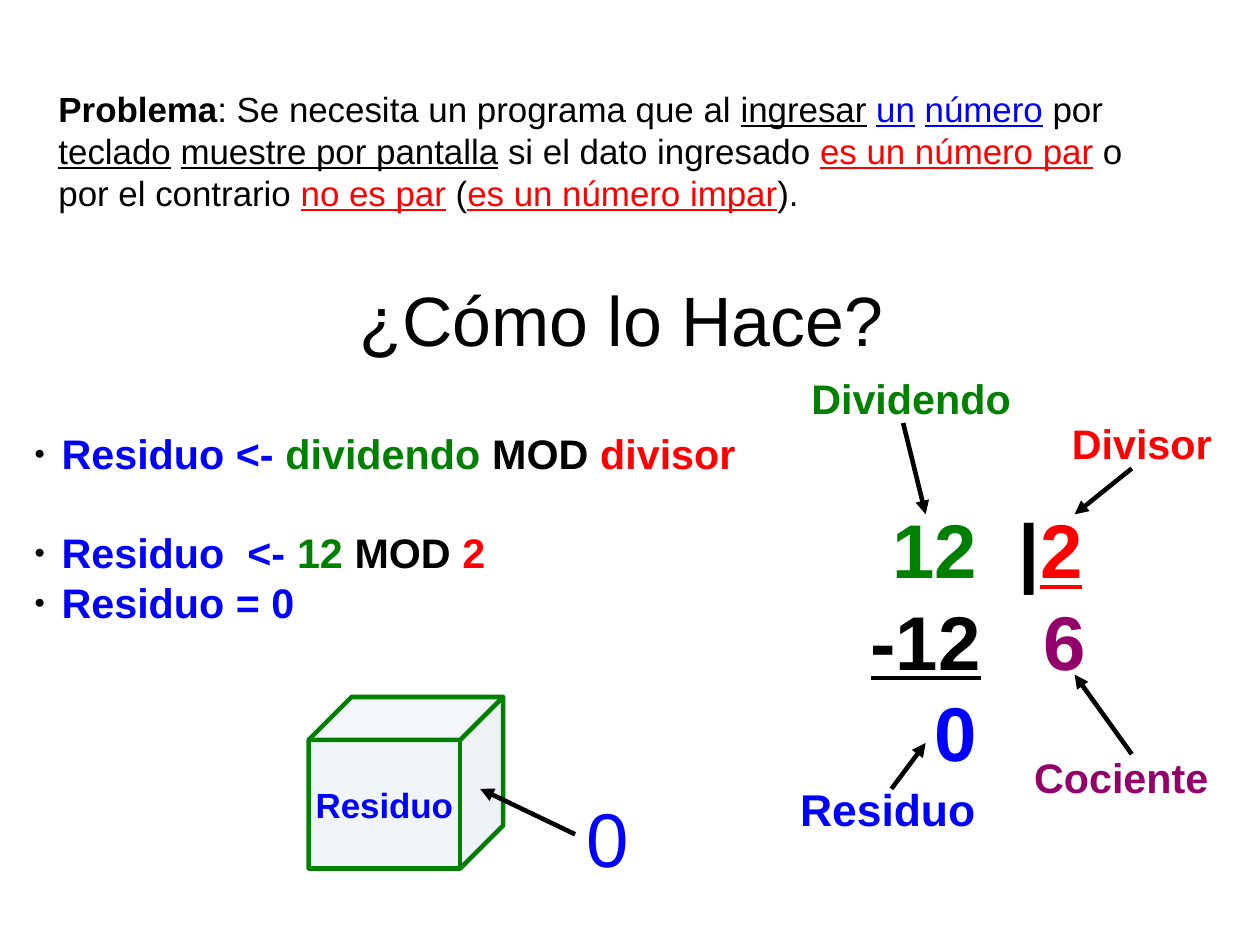
from lxml import etree
from pptx import Presentation
from pptx.dml.color import RGBColor
from pptx.enum.shapes import MSO_CONNECTOR as CONN, MSO_SHAPE as SHAPE
from pptx.enum.text import MSO_ANCHOR as ANCHOR, MSO_AUTO_SIZE as AUTO, PP_ALIGN as ALIGN
from pptx.oxml.ns import qn
from pptx.util import Cm, Pt

FONT = "Arial"
LINE_WIDTH = Pt(2.89)
COLORS = {
    "black": "000000",
    "blue": "0000FF",
    "red": "FF0000",
    "green": "008000",
    "purple": "94006B",
    "cube": "729FCF",
}


def rgb(name):
    return RGBColor.from_string(COLORS[name])


def sub(parent, tag, **attrs):
    el = etree.SubElement(parent, qn(tag))
    for key, value in attrs.items():
        el.set(key, str(value))
    return el


def write(p, text, size=26, color="black", bold=False, underline=False):
    r = p.add_run()
    r.text = text
    f = r.font
    f.name, f.size, f.bold, f.underline = FONT, Pt(size), bold, underline
    f.color.rgb = rgb(color)


def write_runs(p, runs, **fmt):
    """Write (text, color, underline) runs; color and underline may be left out."""
    for text, *rest in runs:
        color, underline = (rest + ["black", False][len(rest):])
        write(p, text, color=color, underline=underline, **fmt)


def setup(tf, anchor=ANCHOR.MIDDLE, wrap=True):
    tf.word_wrap = wrap
    tf.auto_size = AUTO.NONE
    tf.vertical_anchor = anchor
    return tf


def text_box(s, x, y, w, h, **fmt):
    return setup(s.shapes.add_textbox(Cm(x), Cm(y), Cm(w), Cm(h)).text_frame, **fmt)


def label(s, box, text, **fmt):
    write(text_box(s, *box).paragraphs[0], text, **fmt)


def placeholder(sp, x, y, w, h, align):
    """Move a placeholder and return its paragraph, ready to be written."""
    sp.left, sp.top, sp.width, sp.height = Cm(x), Cm(y), Cm(w), Cm(h)
    tf = setup(sp.text_frame)
    tf.margin_left = tf.margin_right = tf.margin_top = tf.margin_bottom = 0
    p = tf.paragraphs[0]
    p.alignment = align
    p.line_spacing = 1.0
    p.space_before = Pt(0)
    return p


def arrow(s, x1, y1, x2, y2):
    c = s.shapes.add_connector(CONN.STRAIGHT, Cm(x1), Cm(y1), Cm(x2), Cm(y2))
    c.line.color.rgb = rgb("black")
    c.line.width = LINE_WIDTH
    sub(c.line._get_or_add_ln(), "a:tailEnd", type="triangle")
    sub(c._element.spPr, "a:effectLst")


def bullet(p):
    pPr = p._p.get_or_add_pPr()
    pPr.set("marL", str(Cm(0.61)))
    pPr.set("indent", str(-Cm(0.61)))
    sub(sub(pPr, "a:buClr"), "a:srgbClr", val=COLORS["black"])
    sub(pPr, "a:buSzPct", val=45000)
    sub(pPr, "a:buFont", typeface=FONT)
    sub(pPr, "a:buChar", char="●")


def tab_stops(p, stops):
    tabs = sub(p._p.get_or_add_pPr(), "a:tabLst")
    for pos, side in stops:
        sub(tabs, "a:tab", pos=Cm(pos), algn=side)


def steps(s):
    tf = text_box(s, 0.51, 9.4, 16.26, 5.84, anchor=ANCHOR.TOP)
    lines = [
        (0, [("Residuo <-", "blue"), (" dividendo", "green"), (" MOD ",), ("divisor", "red")]),
        (31.2, [("Residuo  <-", "blue"), (" 12 ", "green"), ("MOD ",), ("2", "red")]),
        (0, [("Residuo = 0", "blue")]),
    ]
    for i, (gap, runs) in enumerate(lines):
        p = tf.add_paragraph() if i else tf.paragraphs[0]
        p.space_before = Pt(gap)
        bullet(p)
        write_runs(p, runs, size=26, bold=True)


def division(s):
    """Long division, its columns set by tab stops."""
    tf = text_box(s, 19.1, 10.01, 7.09, 8.41)
    units = (2.36, "r")
    rows = [
        ([units, (3.29, "l"), (6.11, "l")],
         [("\t",), ("12", "green"), ("\t|",), ("2", "red", True), ("\t", "black", True)]),
        ([(3.84, "l")], [("-12", "black", True), ("\t",), ("6", "purple")]),
        ([units], [("\t",), ("0", "blue")]),
    ]
    for i, (stops, runs) in enumerate(rows):
        p = tf.add_paragraph() if i else tf.paragraphs[0]
        tab_stops(p, stops)
        write_runs(p, runs, size=48, bold=True)


def variable_cube(s):
    sp = s.shapes.add_shape(SHAPE.CUBE, Cm(6.86), Cm(15.49), Cm(4.32), Cm(3.81))
    sp.shadow.inherit = False
    sp.fill.solid()
    sp.fill.fore_color.rgb = rgb("cube")
    sub(sp._element.spPr.find(qn("a:solidFill"))[0], "a:alpha", val=10000)
    sp.line.color.rgb = rgb("green")
    sp.line.width = LINE_WIDTH
    p = setup(sp.text_frame, wrap=False).paragraphs[0]
    p.alignment = ALIGN.CENTER
    write(p, "Residuo", size=22, color="blue", bold=True)


def main():
    prs = Presentation()
    prs.slide_width, prs.slide_height = Cm(28), Cm(21)
    s = prs.slides.add_slide(prs.slide_layouts[0])

    title = placeholder(s.shapes.title, 1.22, 5.33, 25.2, 3.51, ALIGN.CENTER)
    write(title, "¿Cómo lo Hace?", size=44)

    problem = placeholder(s.placeholders[1], 1.3, 1.78, 24.26, 3.12, ALIGN.LEFT)
    write(problem, "Problema", size=22, bold=True)
    write_runs(problem, [
        (": Se necesita un programa que al ",), ("ingresar", "black", True), (" ",),
        ("un", "blue", True), (" ",), ("número", "blue", True), (" por ",),
        ("teclado", "black", True), (" ",), ("muestre por pantalla", "black", True),
        (" si el dato ingresado ",), ("es un número par", "red", True),
        (" o por el contrario ",), ("no es par", "red", True), (" (",),
        ("es un número impar", "red", True), (").",),
    ], size=22)

    division(s)
    for text, color, size, box in [
        ("Dividendo", "green", 26, (17.78, 7.62, 5.11, 2.46)),
        ("Divisor", "red", 26, (23.57, 8.61, 3.73, 2.46)),
        ("Cociente", "purple", 26, (22.73, 15.75, 5.28, 3.02)),
        ("Residuo", "blue", 28, (17.53, 16.66, 4.55, 2.64)),
    ]:
        label(s, box, text, size=size, color=color, bold=True)

    variable_cube(s)
    label(s, (12.78, 17.45, 1.45, 2.29), "0", size=48, color="blue")
    for ends in [
        (19.81, 17.53, 20.57, 16.51),
        (25.15, 16.76, 23.88, 14.99),
        (25.15, 10.41, 23.88, 11.43),
        (20.07, 9.4, 20.57, 11.43),
        (12.78, 18.54, 10.67, 17.53),
    ]:
        arrow(s, *ends)
    steps(s)

    prs.save("out.pptx")


if __name__ == "__main__":
    main()
